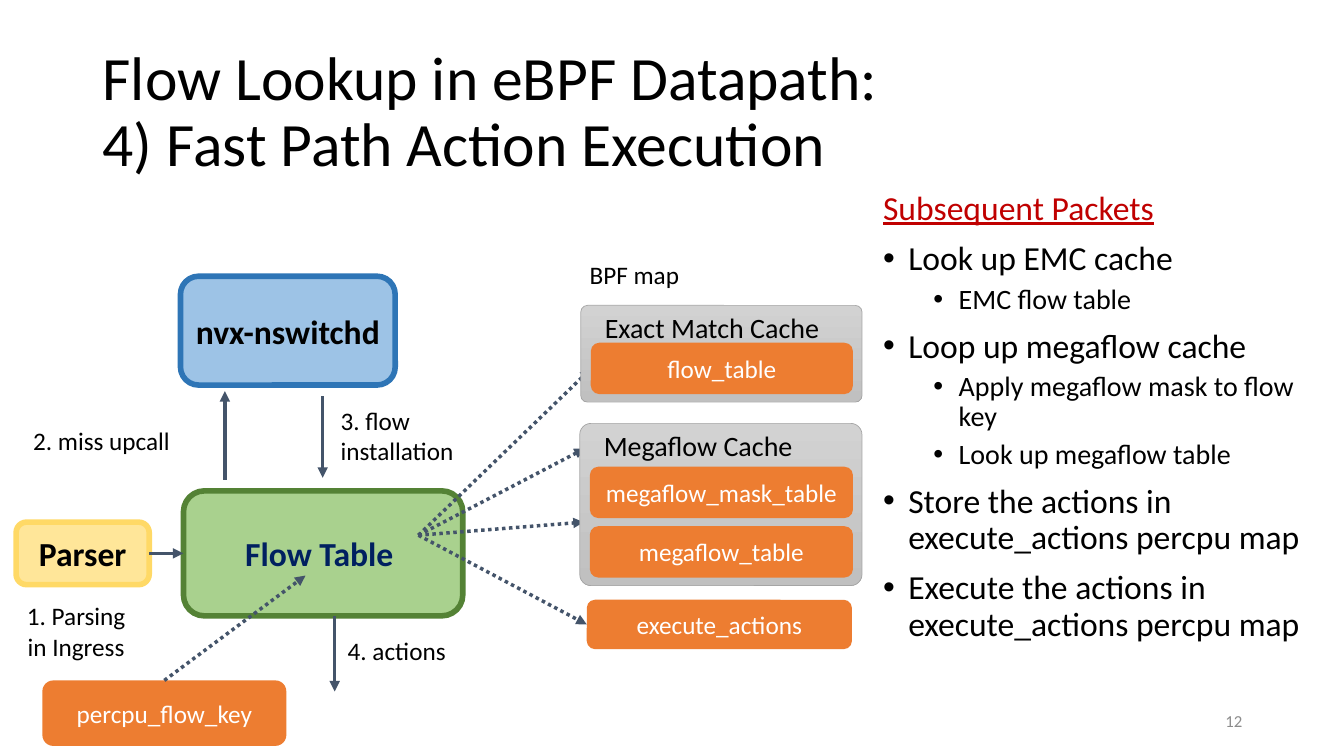
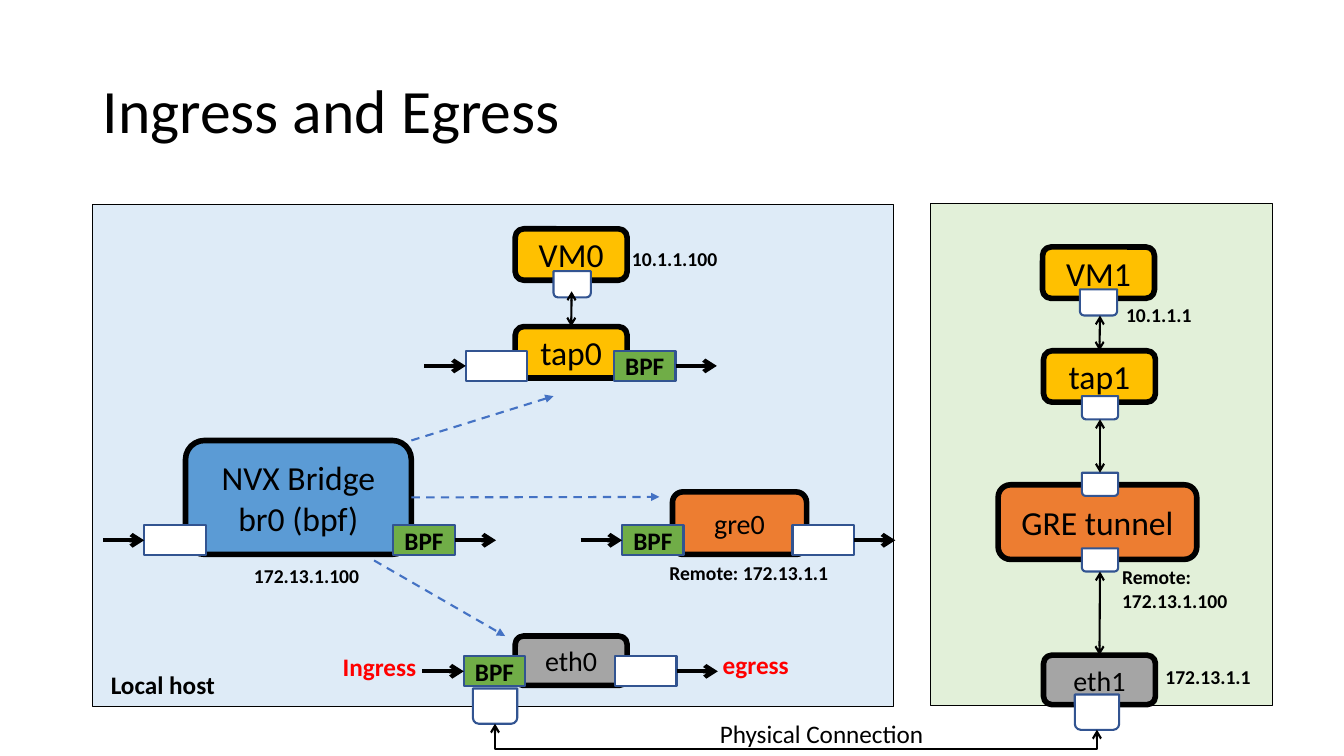
from pptx import Presentation
from pptx.dml.color import RGBColor
from pptx.enum.dml import MSO_LINE
from pptx.enum.shapes import MSO_CONNECTOR as LINK, MSO_SHAPE as SHAPE
from pptx.enum.text import MSO_ANCHOR as ANCHOR, PP_ALIGN as ALIGN
from pptx.oxml.ns import qn
from pptx.util import Inches, Pt
from lxml.etree import SubElement

FONT = "Calibri"
BLACK = RGBColor(0x00, 0x00, 0x00)
WHITE = RGBColor(0xFF, 0xFF, 0xFF)
RED = RGBColor(0xFF, 0x00, 0x00)
DARK_RED = RGBColor(0xC0, 0x00, 0x00)
NAVY = RGBColor(0x00, 0x20, 0x60)
SLATE = RGBColor(0x44, 0x54, 0x6A)
PAGE_GRAY = RGBColor(0x8C, 0x8C, 0x8C)
ORANGE = RGBColor(0xED, 0x7D, 0x31)
GOLD = RGBColor(0xFF, 0xC0, 0x00)
GRAY = RGBColor(0xA5, 0xA5, 0xA5)
LIGHT_GRAY = RGBColor(0xD2, 0xD2, 0xD2)
MID_GRAY = RGBColor(0xC0, 0xC0, 0xC0)
BLUE = RGBColor(0x5B, 0x9B, 0xD5)
LINK_BLUE = RGBColor(0x44, 0x72, 0xC4)
PORT_BLUE = RGBColor(0x32, 0x54, 0x91)
SKY = RGBColor(0x9D, 0xC3, 0xE6)
SKY_EDGE = RGBColor(0x2E, 0x75, 0xB6)
LEAF = RGBColor(0xA9, 0xD1, 0x8E)
LEAF_EDGE = RGBColor(0x54, 0x82, 0x35)
CREAM = RGBColor(0xFF, 0xE6, 0x99)
CREAM_EDGE = RGBColor(0xFF, 0xD9, 0x66)
HOOK_GREEN = RGBColor(0x70, 0xAD, 0x47)
LOCAL_BLUE = RGBColor(0xDE, 0xEB, 0xF7)
REMOTE_GREEN = RGBColor(0xE2, 0xF0, 0xD9)


def inside(box, dx, dy, w=0, h=0):
    """Return a box given by its offset from the corner of another."""
    return box[0] + dx, box[1] + dy, w, h


def style(paragraph, size, color, bold=False):
    """Format every run of a paragraph."""
    for run in paragraph.runs:
        run.font.name = FONT
        run.font.size = Pt(size)
        run.font.bold = bold
        run.font.color.rgb = color


def label(shapes, box, text, size=18, color=BLACK, bold=False, wrap=True,
          align=ALIGN.LEFT, anchor=ANCHOR.TOP):
    """Add a text box and return its frame."""
    frame = shapes.add_textbox(*map(Inches, box)).text_frame
    frame.word_wrap = wrap
    frame.vertical_anchor = anchor
    frame.text = text
    for paragraph in frame.paragraphs:
        paragraph.alignment = align
        style(paragraph, size, color, bold)
    return frame


def node(shapes, box, text="", fill=ORANGE, edge=None, width=4, size=18,
         color=BLACK, bold=False, kind=SHAPE.ROUNDED_RECTANGLE):
    """Add a filled shape with centred text."""
    shape = shapes.add_shape(kind, *map(Inches, box))
    shape.shadow.inherit = False
    shape.fill.solid()
    shape.fill.fore_color.rgb = fill
    if edge is None:
        shape.line.fill.background()
    else:
        shape.line.color.rgb = edge
        shape.line.width = Pt(width)
    if text:
        frame = shape.text_frame
        frame.text = text
        frame.vertical_anchor = ANCHOR.MIDDLE
        for paragraph in frame.paragraphs:
            paragraph.alignment = ALIGN.CENTER
            style(paragraph, size, color, bold)
    return shape


def arrow(shapes, start, end, color=BLACK, width=1.5, dash=None, tip="triangle",
          double=False, source=None, target=None, kind=LINK.STRAIGHT):
    """Add an arrow, joined to (shape, side) pairs where they are given."""
    link = shapes.add_connector(kind, *map(Inches, (*start[:2], *end[:2])))
    link.line.color.rgb = color
    link.line.width = Pt(width)
    if dash is not None:
        link.line.dash_style = dash
    for end_name in ("headEnd", "tailEnd") if double else ("tailEnd",):
        SubElement(link.get_or_add_ln(), qn(f"a:{end_name}"), type=tip)
    SubElement(link.element.spPr, qn("a:effectLst"))
    if source:
        link.begin_connect(*source)
    if target:
        link.end_connect(*target)
    return link


def under_link(shapes, start, end, drop):
    """Add a double arrow that runs below two points."""
    span, rise = end[0] - start[0], end[1] - start[1]
    mid_x, mid_y = (start[0] + end[0]) / 2, (start[1] + end[1]) / 2
    link = arrow(shapes, (mid_x + rise / 2, mid_y - span / 2),
                 (mid_x - rise / 2, mid_y + span / 2),
                 tip="arrow", double=True, kind=LINK.ELBOW)
    link.element.spPr.find(qn("a:xfrm")).set("rot", str(270 * 60000))
    guides = link.element.spPr.find(qn("a:prstGeom")).get_or_add_avLst()
    SubElement(guides, qn("a:gd"), name="adj1", fmla=f"val {round(drop / rise * 100000)}")


def new_slide(deck, title):
    """Add a blank slide with the shared title."""
    shapes = deck.slides.add_slide(deck.slide_layouts[6]).shapes
    frame = label(shapes, (0.92, 0.4, 11.5, 1.45), title, 44, anchor=ANCHOR.MIDDLE)
    frame.paragraphs[0].line_spacing = 0.9
    return shapes


def packet_steps(shapes, box):
    """List what happens to the packets after the first."""
    steps = [("Subsequent Packets", None), ("Look up EMC cache", 0), ("EMC flow table", 1),
             ("Loop up megaflow cache", 0), ("Apply megaflow mask to flow key", 1),
             ("Look up megaflow table", 1),
             ("Store the actions in execute_actions percpu map", 0),
             ("Execute the actions in execute_actions percpu map", 0)]
    frame = label(shapes, box, "\n".join(text for text, _ in steps), 24)
    for paragraph, (_, level) in zip(frame.paragraphs, steps):
        paragraph.line_spacing = 0.9
        paragraph.space_before = Pt(5 if level else 10)
        if level is None:
            style(paragraph, 24, DARK_RED)
            paragraph.runs[0].font.underline = True
            continue
        paragraph.level = level
        style(paragraph, 20 if level else 24, BLACK)
        props = paragraph._p.get_or_add_pPr()
        props.set("marL", str(Inches(0.25 + 0.5 * level)))
        props.set("indent", str(Inches(-0.25)))
        SubElement(props, qn("a:buFont"), typeface="Arial")
        SubElement(props, qn("a:buChar"), char="•")


def cache(shapes, box, title, tables):
    """Add a grey cache panel with its tables stacked from the bottom."""
    group = shapes.add_group_shape().shapes
    panel = node(group, box, edge=GRAY, width=0.5)
    panel.adjustments[0] = 0.07
    panel.fill.gradient()
    panel.fill.gradient_angle = 270
    for stop, color in zip(panel.fill.gradient_stops, (LIGHT_GRAY, MID_GRAY)):
        stop.color.rgb = color
    label(group, inside(box, 0.14, 0, 4.1, 0.44), title, 20)
    for up, table in enumerate(reversed(tables)):
        node(group, inside(box, 0.1, box[3] - 0.59 * (up + 1), box[2] - 0.19, 0.51),
             table, color=WHITE)


def bpf_maps(shapes, box, lookup):
    """Add the BPF maps and the dotted lookups that reach them."""
    label(shapes, inside(box, 0, 0, 1.63, 0.4), "BPF map")
    actions = node(shapes, inside(box, 0.07, 3.43, 2.63, 0.49), "execute_actions", color=WHITE)
    for dx, dy, target in ((0.11, 1.14, None), (0.05, 1.93, None), (0.04, 2.66, None),
                           (0.07, 3.67, (actions, 1))):
        arrow(shapes, lookup, inside(box, dx, dy), SLATE, 2.5, MSO_LINE.ROUND_DOT,
              target=target)
    cache(shapes, inside(box, 0.01, 0.51, 2.79, 0.96), "Exact Match Cache", ["flow_table"])
    cache(shapes, inside(box, 0, 1.68, 2.8, 1.61), "Megaflow Cache",
          ["megaflow_mask_table", "megaflow_table"])


def datapath(shapes, box):
    """Add the parser, the flow table and the daemon above it."""
    flow_table = node(shapes, inside(box, 1.66, 2.13, 2.77, 1.24), "Flow Table ", LEAF,
                      LEAF_EDGE, size=24, color=NAVY, bold=True)
    node(shapes, inside(box, 1.63, 0, 2.13, 1.08), "nvx-nswitchd", SKY, SKY_EDGE,
         size=24, bold=True)
    parser = node(shapes, inside(box, 0, 2.44, 1.32, 0.62), "Parser", CREAM, CREAM_EDGE,
                  size=24, bold=True)
    flow_key = node(shapes, inside(box, 0.26, 4.01, 2.42, 0.65), "percpu_flow_key", color=WHITE)
    arrow(shapes, inside(box, 1.32, 2.75), inside(box, 1.66, 2.75), SLATE, 2.5,
          source=(parser, 3), target=(flow_table, 1))
    for dx, top, bottom in ((2.07, 2.02, 1.14), (3.04, 1.19, 2.0), (3.16, 3.37, 4.12)):
        arrow(shapes, inside(box, dx, top), inside(box, dx, bottom), SLATE, 2.5)
    arrow(shapes, inside(box, 1.47, 4.01), inside(box, 2.87, 2.97), SLATE, 2.5,
          MSO_LINE.ROUND_DOT, source=(flow_key, 0))
    label(shapes, inside(box, 0.07, 1.43, 2.29, 0.4), "2. miss upcall")
    label(shapes, inside(box, 3.12, 1.23, 1.33, 0.71), "3. flow\vinstallation", wrap=False)
    label(shapes, inside(box, 3.19, 3.51, 1.19, 0.4), "4. actions", wrap=False)
    label(shapes, inside(box, 0, 3.17, 1.19, 0.71), "1. Parsing\vin Ingress",
          wrap=False, align=ALIGN.CENTER)


def round_port(shapes, box):
    """Add a small white port, rounded at the bottom."""
    node(shapes, box, fill=WHITE, edge=PORT_BLUE, width=1.5,
         kind=SHAPE.ROUND_2_SAME_RECTANGLE).rotation = 180


def device(shapes, box, text, fill, size=24):
    """Add a device with a heavy black outline."""
    return node(shapes, box, text, fill, BLACK, size=size)


def hook(shapes, box, incoming, has_bpf):
    """Add a packet hook and the arrow into or out of it."""
    port = node(shapes, (*box[:2], 0.61, 0.3), "BPF" if has_bpf else "",
                HOOK_GREEN if has_bpf else WHITE, PORT_BLUE, 1.5, bold=True,
                kind=SHAPE.RECTANGLE)
    if incoming:
        arrow(shapes, inside(box, -0.41, 0.15), inside(box, 0, 0.15), width=3,
              tip="arrow", target=(port, 1))
    else:
        arrow(shapes, inside(box, 0.61, 0.15), inside(box, 1.02, 0.15), width=3,
              tip="arrow", source=(port, 3))


def local_host(shapes, box):
    """Add the local host with its bridge, taps and tunnel end."""
    node(shapes, box, fill=LOCAL_BLUE, edge=BLACK, width=1, kind=SHAPE.RECTANGLE)
    devices = {}
    for key, text, place, fill, size, entry, leave, hook_y, bpf_in in (
            ("bridge", "NVX Bridge\nbr0 (bpf)", (0.92, 2.34, 2.24, 1.13), BLUE, 24,
             0.51, 2.98, 3.18, False),
            ("tap", "tap0", (4.19, 1.21, 1.11, 0.51), GOLD, 24, 3.7, 5.17, 1.45, False),
            ("gre", "gre0", (5.75, 2.85, 1.33, 0.62), ORANGE, 20, 5.25, 6.94, 3.18, True),
            ("eth", "eth0", (4.19, 4.28, 1.11, 0.49), GRAY, 20, 3.68, 5.18, 4.48, True)):
        devices[key] = device(shapes, inside(box, *place), text, fill, size)
        hook(shapes, inside(box, entry, hook_y), True, bpf_in)
        hook(shapes, inside(box, leave, hook_y), False, not bpf_in)
    device(shapes, inside(box, 4.19, 0.24, 1.11, 0.51), "VM0", GOLD)
    round_port(shapes, inside(box, 4.57, 0.66, 0.37, 0.26))
    round_port(shapes, inside(box, 3.77, 4.8, 0.44, 0.35))
    arrow(shapes, inside(box, 4.75, 0.86), inside(box, 4.75, 1.21), tip="arrow",
          double=True, target=(devices["tap"], 0))
    for start, end, source in (((3.16, 2.34), (4.57, 1.9), None),
                               ((3.16, 2.9), (5.62, 2.9), (devices["bridge"], 3)),
                               ((2.79, 3.53), (4.09, 4.28), None)):
        arrow(shapes, inside(box, *start), inside(box, *end), LINK_BLUE,
              dash=MSO_LINE.DASH, source=source)
    for dx, dy, w, text in ((5.25, 0.37, 2.04, "10.1.1.100"),
                            (5.62, 3.49, 2.89, "Remote: 172.13.1.1"),
                            (1.5, 3.52, 2.04, "172.13.1.100")):
        label(shapes, inside(box, dx, dy, w, 0.34), text, 14, bold=True)
    label(shapes, inside(box, 0.08, 4.56, 1.25, 0.4), "Local host", bold=True, wrap=False)
    label(shapes, inside(box, 2.38, 4.38, 0.97, 0.4), "Ingress", color=RED, bold=True)
    label(shapes, inside(box, 6.15, 4.36, 0.97, 0.4), "egress", color=RED, bold=True)


def remote_host(shapes, box):
    """Add the remote host as a stack from virtual machine to wire."""
    node(shapes, box, fill=REMOTE_GREEN, edge=BLACK, width=1, kind=SHAPE.RECTANGLE)
    device(shapes, inside(box, 1.11, 0.43, 1.11, 0.51), "VM1", GOLD)
    tap = device(shapes, inside(box, 1.12, 1.46, 1.11, 0.51), "tap1", GOLD)
    device(shapes, inside(box, 0.67, 2.79, 1.97, 0.74), "GRE tunnel", ORANGE)
    eth = device(shapes, inside(box, 1.12, 4.48, 1.11, 0.49), "eth1", GRAY, 20)
    for dx, dy, w, h in ((1.48, 0.85, 0.37, 0.26), (1.5, 1.91, 0.36, 0.23),
                         (1.5, 2.67, 0.36, 0.23), (1.5, 3.42, 0.36, 0.23),
                         (1.43, 4.87, 0.44, 0.35)):
        round_port(shapes, inside(box, dx, dy, w, h))
    for top, bottom, target in ((1.11, 1.46, (tap, 0)), (2.14, 2.67, None),
                                (3.65, 4.48, (eth, 0))):
        arrow(shapes, inside(box, 1.68, top), inside(box, 1.68, bottom), tip="arrow",
              double=True, target=target)
    for dx, dy, w, h, text in ((1.84, 0.94, 2.04, 0.34, "10.1.1.1"),
                               (1.8, 3.54, 2.48, 0.57, "Remote:\n172.13.1.100"),
                               (2.23, 4.53, 2.04, 0.34, "172.13.1.1")):
        label(shapes, inside(box, dx, dy, w, h), text, 14, bold=True)


def main():
    """Build and save both slides."""
    deck = Presentation()
    deck.slide_width, deck.slide_height = Inches(13.33), Inches(7.5)

    lookup = new_slide(deck, "Flow Lookup in eBPF Datapath:\v4) Fast Path Action Execution")
    packet_steps(lookup, (8.66, 1.85, 4.51, 4.59))
    label(lookup, (9.42, 6.95, 3, 0.4), "12", 12, PAGE_GRAY, align=ALIGN.RIGHT,
          anchor=ANCHOR.MIDDLE)
    datapath(lookup, (0.16, 2.74, 4.45, 4.66))
    bpf_maps(lookup, (5.75, 2.52, 2.8, 3.92), (4.15, 5.31))

    hosts = new_slide(deck, "Ingress and Egress")
    local_host(hosts, (0.92, 2.03, 7.94, 4.98))
    remote_host(hosts, (9.23, 2.02, 3.39, 4.98))
    under_link(hosts, (4.91, 7.18), (10.88, 7.24), 0.25)
    label(hosts, (7.04, 7.08, 2.25, 0.4), "Physical Connection", wrap=False)
    deck.save("out.pptx")


if __name__ == "__main__":
    main()
